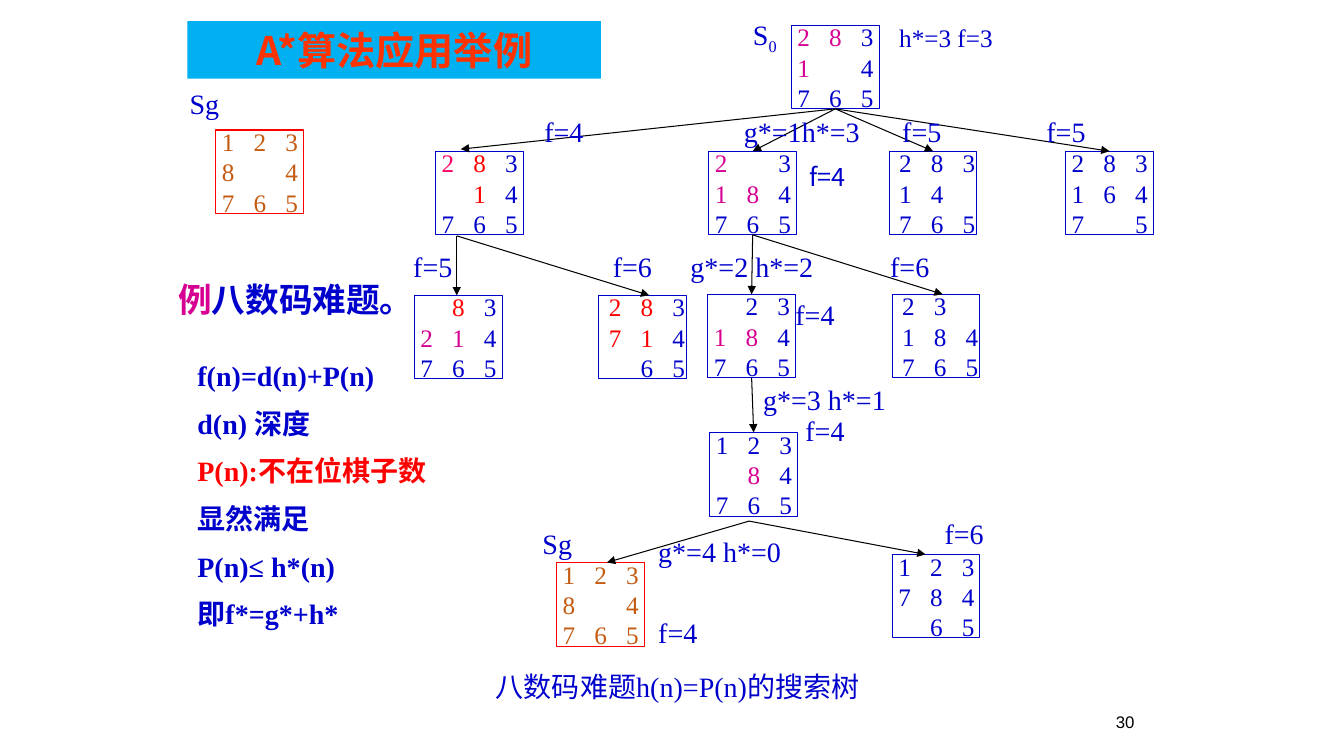
from pptx import Presentation
from pptx.dml.color import RGBColor
from pptx.enum.shapes import MSO_CONNECTOR, MSO_SHAPE
from pptx.enum.text import MSO_ANCHOR, PP_ALIGN
from pptx.oxml.xmlchemy import OxmlElement
from pptx.util import Inches, Pt

RECTANGLE = MSO_SHAPE.RECTANGLE
STRAIGHT = MSO_CONNECTOR.STRAIGHT
MIDDLE = MSO_ANCHOR.MIDDLE
CENTER, LEFT, RIGHT = PP_ALIGN.CENTER, PP_ALIGN.LEFT, PP_ALIGN.RIGHT
TOP_SIDE, BOTTOM_SIDE = 0, 2

COLORS = {
    "blue": "0000CC", "red": "FF0000", "magenta": "D60093", "pink": "FF0066",
    "brown": "C55A11", "black": "000000", "banner": "00B0F0", "title": "FF3300",
}
SERIF, SANS, PLAIN = "Times New Roman", "Noto Sans CJK SC", "Arial"
BOARD_WIDTH, BOARD_HEIGHT = 0.87, 0.83
COLUMN_STEP = 0.315
LINE_FACTOR = 1.2


def color(name):
    return RGBColor.from_string(COLORS[name])


class TreeSlide:
    """Style and drawing methods for the search tree slide."""

    def __init__(self, deck):
        self.slide = deck.slides.add_slide(deck.slide_layouts[6])

    def set_tabs(self, para, stops):
        tab_list = OxmlElement("a:tabLst")
        for stop in stops:
            tab = OxmlElement("a:tab")
            tab.set("pos", str(Inches(stop)))
            tab.set("algn", "l")
            tab_list.append(tab)
        para._p.get_or_add_pPr().append(tab_list)

    def add_span(self, para, text, size, tint, face=SERIF, bold=False):
        span = para.add_run()
        span.text = text
        span.font.size = Pt(size)
        span.font.name = face
        span.font.bold = bold
        span.font.color.rgb = color(tint)
        east_asian = OxmlElement("a:ea")
        east_asian.set("typeface", SANS)
        span.font._element.find(
            "{http://schemas.openxmlformats.org/drawingml/2006/main}latin"
        ).addnext(east_asian)
        return span

    def rectangle(self, left, top, width, height, fill=None, line=None):
        box = self.slide.shapes.add_shape(
            RECTANGLE, Inches(left), Inches(top), Inches(width), Inches(height))
        box.shadow.inherit = False
        if fill:
            box.fill.solid()
            box.fill.fore_color.rgb = color(fill)
        else:
            box.fill.background()
        if line:
            box.line.color.rgb = color(line)
            box.line.width = Pt(0.75)
        else:
            box.line.fill.background()
        return box

    def banner(self, left, top, width, height, text):
        box = self.rectangle(left, top, width, height, fill="banner")
        box.text_frame.vertical_anchor = MIDDLE
        para = box.text_frame.paragraphs[0]
        para.alignment = CENTER
        self.add_span(para, text, 28, "title", SANS, True)

    def board(self, left, top, rows, marks=None, tint="blue", line="blue", inset=0.06):
        """Rows such as '283 1_4 765'; marks gives single tiles their colour."""
        marks = marks or {}
        box = self.rectangle(left, top, BOARD_WIDTH, BOARD_HEIGHT, line=line)
        frame = box.text_frame
        frame.word_wrap = True
        frame.vertical_anchor = MIDDLE
        frame.margin_left, frame.margin_right = Inches(inset), 0
        for index, row in enumerate(rows.split()):
            para = frame.add_paragraph() if index else frame.paragraphs[0]
            self.set_tabs(para, [COLUMN_STEP, 2 * COLUMN_STEP])
            para.alignment = LEFT
            para.line_spacing = Pt(18 * LINE_FACTOR)
            gap = ""
            for tile in row:
                if tile != "_":
                    self.add_span(para, gap + tile, 18, marks.get(tile, tint))
                    gap = ""
                gap += "\t"
        return box

    def label(self, left, top, width, height, lines, size=20, face=SERIF, bold=False,
              tint="blue", tabs=(), pitch=None, before=10, align=LEFT, inset=(0.1, 0.05)):
        """Each line is a string or a list of (text, colour) spans."""
        box = self.slide.shapes.add_textbox(
            Inches(left), Inches(top), Inches(width), Inches(height))
        frame = box.text_frame
        frame.word_wrap = True
        frame.margin_left = frame.margin_right = Inches(inset[0])
        frame.margin_top = frame.margin_bottom = Inches(inset[1])
        for index, line in enumerate(lines):
            para = frame.add_paragraph() if index else frame.paragraphs[0]
            if tabs:
                self.set_tabs(para, tabs)
            para.alignment = align
            para.line_spacing = Pt(pitch or size * LINE_FACTOR)
            if index:
                para.space_before = Pt(before)
            for text, shade in [(line, tint)] if isinstance(line, str) else line:
                self.add_span(para, text, size, shade, face, bold)
        return box

    def arrow(self, start, end):
        """Each end is a point, or a board to join at its bottom or top."""
        begin = start if isinstance(start, tuple) else (0, 0)
        finish = end if isinstance(end, tuple) else (0, 0)
        link = self.slide.shapes.add_connector(
            STRAIGHT, *(Inches(value) for value in begin + finish))
        if start is not begin:
            link.begin_connect(start, BOTTOM_SIDE)
        if end is not finish:
            link.end_connect(end, TOP_SIDE)
        link.line.color.rgb = color("black")
        link.line.width = Pt(0.75)
        head = OxmlElement("a:tailEnd")
        head.set("type", "triangle")
        link.line._get_or_add_ln().append(head)
        link._element.spPr.append(OxmlElement("a:effectLst"))


def main():
    deck = Presentation()
    deck.slide_width, deck.slide_height = Inches(13.33), Inches(7.5)
    tree = TreeSlide(deck)

    # Title, goal state and explanation
    tree.banner(1.86, 0.21, 4.1, 0.57, "A*算法应用举例")
    goal = {"rows": "123 8_4 765", "tint": "brown", "line": "red"}
    tree.board(2.14, 1.29, **goal)
    tree.label(1.67, 2.72, 3.31, 0.5, [[("例", "magenta"), ("八数码难题。", "blue")]],
               size=24, face=SANS, bold=True)
    tree.label(1.86, 3.51, 2.87, 2.96, [
        "f(n)=d(n)+P(n)", "d(n) 深度", [("P(n):不在位棋子数", "red")],
        "显然满足", "P(n)≤ h*(n)", "即f*=g*+h*"], bold=True)

    # Boards, level by level
    root = tree.board(7.85, 0.25, "283 1_4 765", dict.fromkeys("281", "magenta"))
    tree.board(4.32, 1.5, "283 _14 765", {"2": "pink", "8": "red", "1": "red"})
    up = tree.board(7.03, 1.5, "2_3 184 765", dict.fromkeys("218", "magenta"))
    right = tree.board(8.82, 1.5, "283 14_ 765", inset=0.1)
    down = tree.board(10.57, 1.5, "283 164 7_5")
    tree.board(4.11, 2.93, "_83 214 765", {"8": "red", "2": "magenta", "1": "magenta"})
    tree.board(5.94, 2.93, "283 714 _65", dict.fromkeys("2871", "red"), inset=0.1)
    up_left = tree.board(7.02, 2.92, "_23 184 765", dict.fromkeys("18", "magenta"))
    tree.board(8.85, 2.92, "23_ 184 765", inset=0.1)
    third = tree.board(7.04, 4.29, "123 _84 765", {"8": "magenta"})
    tree.board(5.52, 5.58, **goal)
    tree.board(8.85, 5.5, "123 784 _65")

    # Arrows
    left_fork, last_fork = (4.53, 2.34), (7.43, 5.17)
    for start, end in [
        (root, (4.57, 1.48)), (root, up), (root, right), (root, down),
        (left_fork, (4.53, 2.93)), (left_fork, (6.44, 2.93)),
        (up, up_left), (up, (9.35, 2.92)), (up_left, third),
        (last_fork, (6.02, 5.58)), (last_fork, (9.18, 5.5)),
    ]:
        tree.arrow(start, end)

    # Cost labels
    start_label = tree.label(7.37, 0.17, 0.47, 0.43, [[("S", "blue"), ("0", "blue")]])
    subscript = start_label.text_frame.paragraphs[0].runs[1]
    subscript.font._element.set("baseline", "-25000")
    tree.label(8.82, 0.17, 1.61, 0.4, ["h*=3 f=3"], size=18)
    tree.label(5.3, 1.09, 6.06, 0.43, ["f=4\tg*=1h*=3\tf=5\tf=5"], tabs=[1.98, 3.55, 4.98])
    tree.label(7.93, 1.55, 0.63, 0.4, ["f=4"], size=18, face=SANS)
    tree.label(4, 2.43, 3.83, 0.43, ["f=5\tf=6"], tabs=[1.98])
    tree.label(6.75, 2.43, 3.83, 0.93, ["g*=2 h*=2\tf=6", "\tf=4"], tabs=[1.04, 1.98])
    tree.label(7.47, 3.91, 1.47, 0.6, ["g*=3 h*=1", "\tf=4"], tabs=[0.42], pitch=12)
    tree.label(6.43, 5.25, 1.84, 0.93, ["g*=4 h*=0", "f=4"], before=34)
    tree.label(9.27, 5.08, 0.7, 0.43, ["f=6"])
    for left, top in [(1.86, 0.85), (5.36, 5.21)]:
        tree.label(left, top, 0.42, 0.36, ["Sg"], inset=(0.02, 0.01))

    # Caption and page number
    tree.label(4.82, 6.59, 3.89, 0.43, ["八数码难题h(n)=P(n)的搜索树"])
    tree.label(10.25, 7.01, 1.1, 0.24, ["30"], size=12, face=PLAIN, tint="black", align=RIGHT)

    deck.save("out.pptx")


if __name__ == "__main__":
    main()
